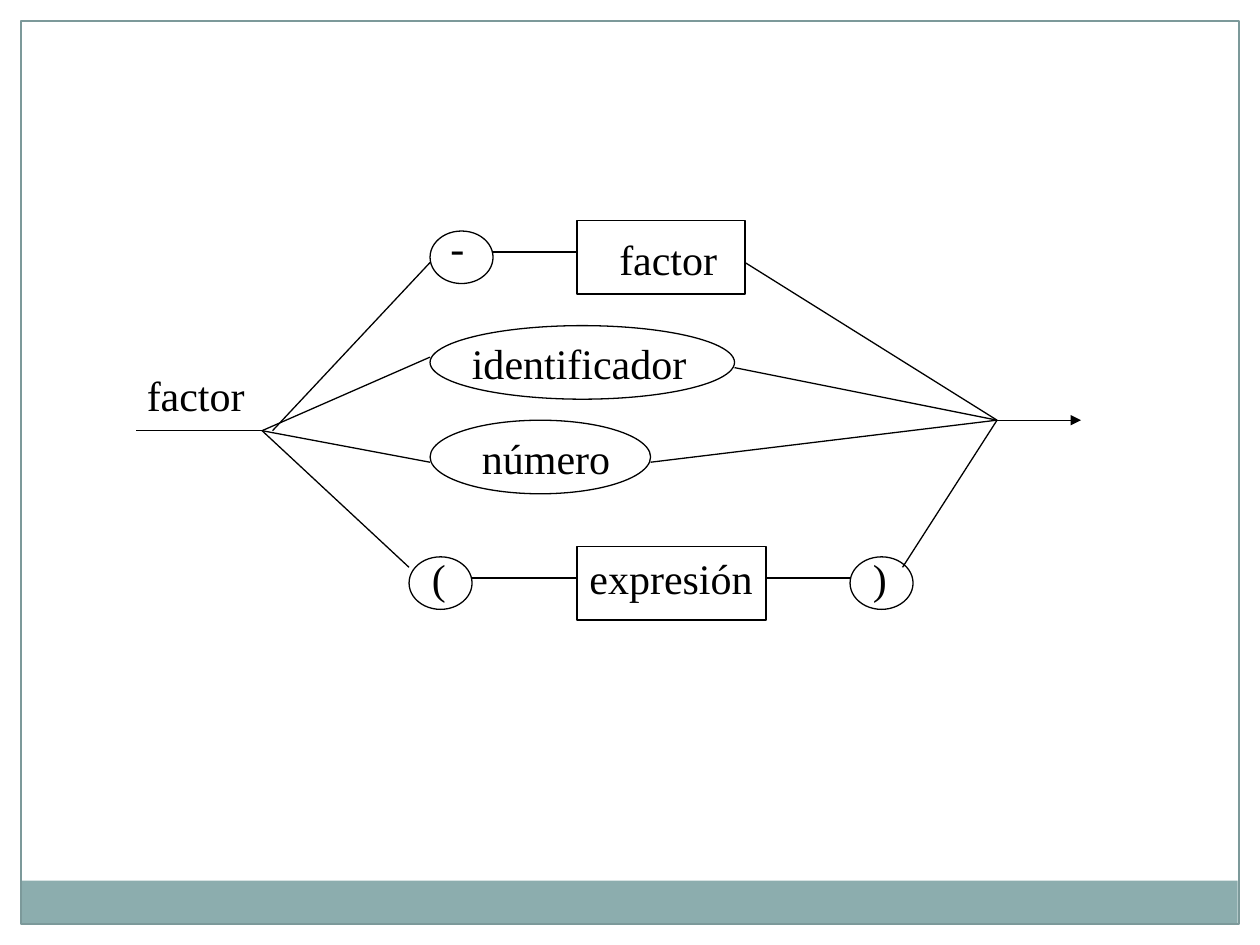
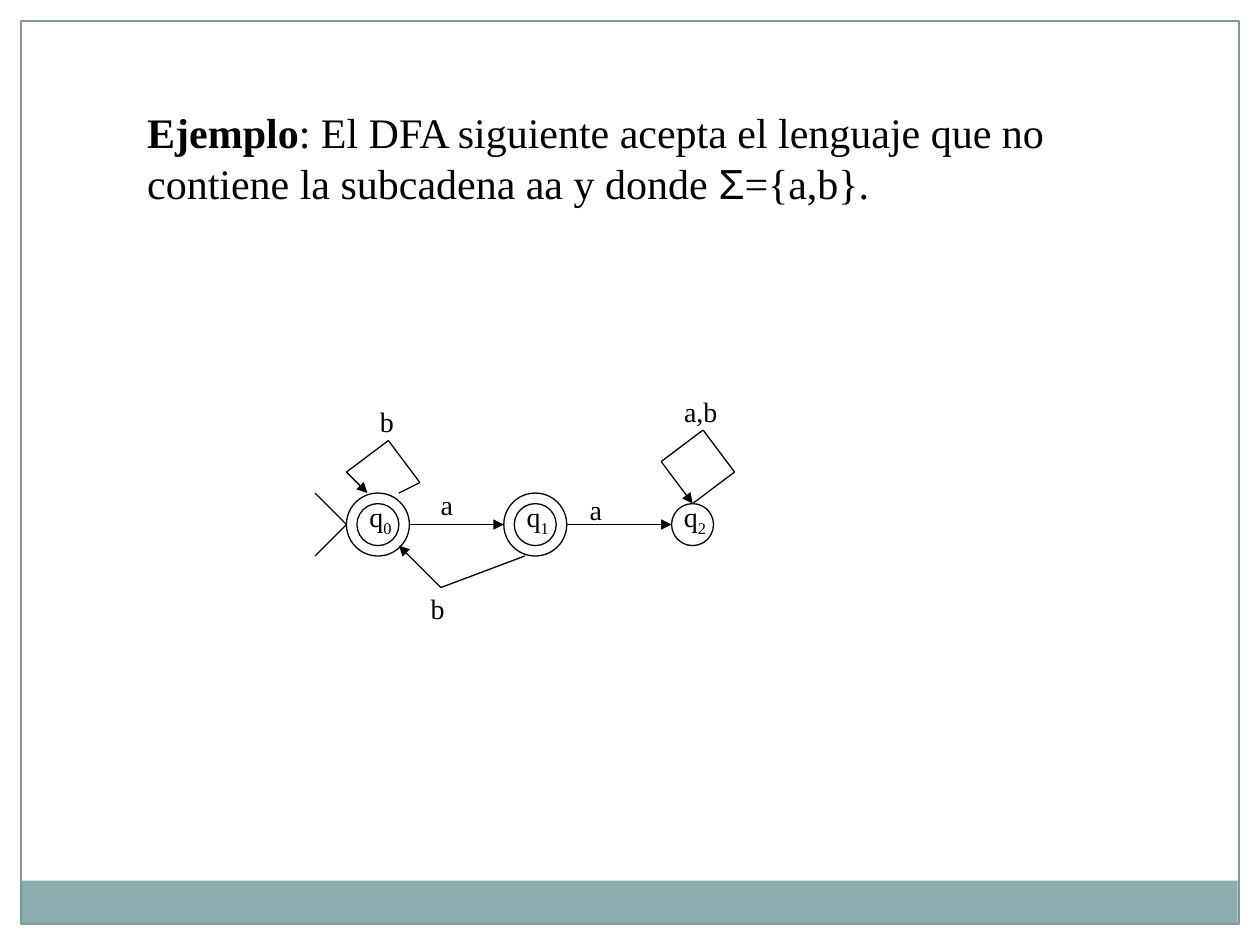
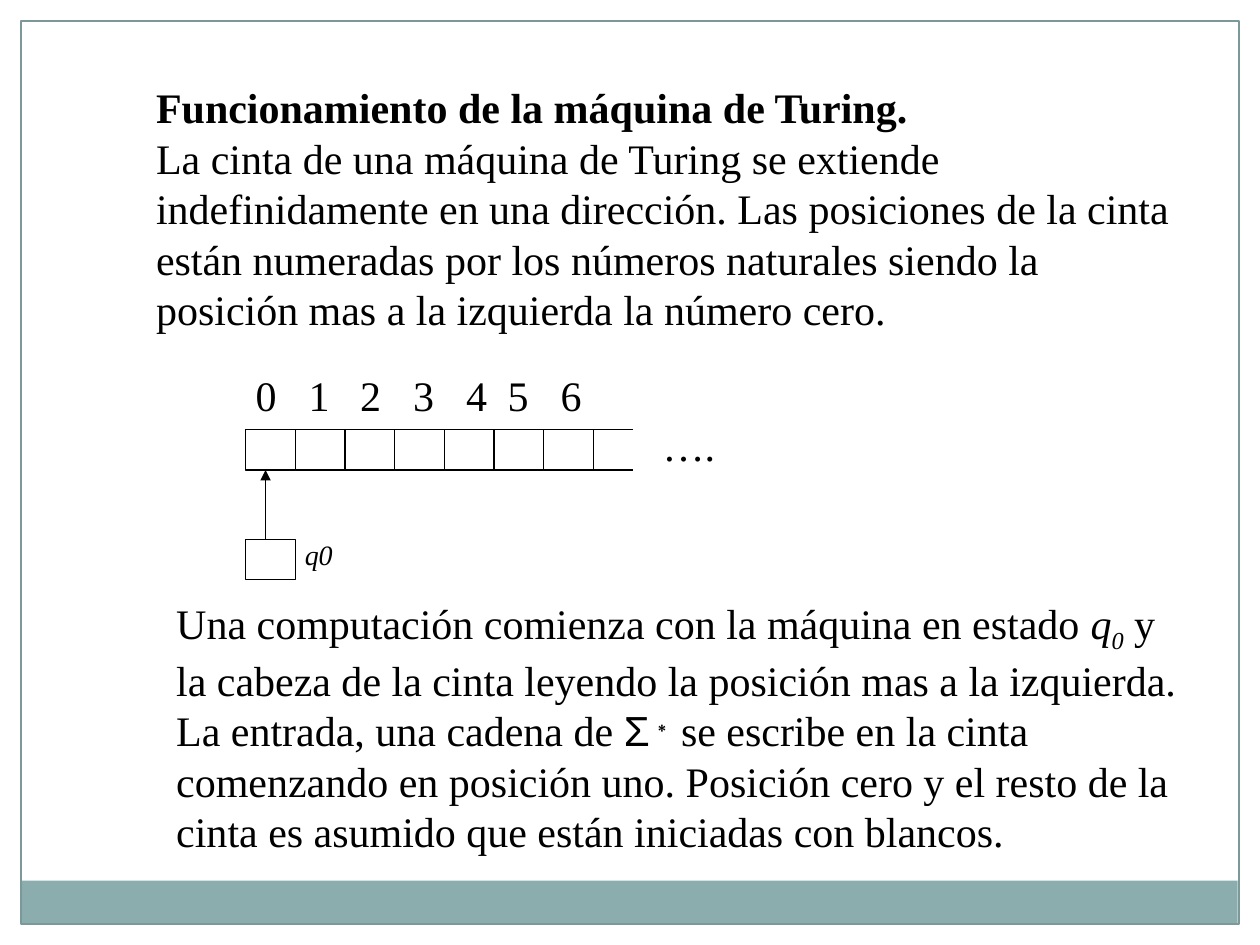
from dataclasses import dataclass

from lxml.etree import SubElement
from pptx import Presentation
from pptx.dml.color import RGBColor
from pptx.enum.shapes import MSO_CONNECTOR, MSO_SHAPE
from pptx.oxml.ns import qn
from pptx.util import Inches, Pt

BLACK = RGBColor(0x00, 0x00, 0x00)
WHITE = RGBColor(0xFF, 0xFF, 0xFF)
TEAL = RGBColor(0x8C, 0xAD, 0xAE)
BORDER = RGBColor(0x7C, 0x99, 0x9A)
SERIF, SANS = "Times New Roman", "Arial"
BODY, SMALL = 24, 16
RECT, OVAL = MSO_SHAPE.RECTANGLE, MSO_SHAPE.OVAL


@dataclass
class Box:
    """A region in inches, divided into columns and rows."""
    left: float
    top: float
    width: float
    height: float
    cols: int
    rows: int

    def point(self, col, row):
        return (Inches(self.left + col * self.width / self.cols),
                Inches(self.top + row * self.height / self.rows))

    def area(self, col, row, cols, rows):
        return (*self.point(col, row),
                Inches(cols * self.width / self.cols),
                Inches(rows * self.height / self.rows))


PAGE = Box(0, 0, 10, 7.5, 120, 90)


# Drawing helpers
def shape(s, box, kind, area, fill=None, line=BLACK):
    sp = s.shapes.add_shape(kind, *box.area(*area))
    sp.shadow.inherit = False
    if fill is None:
        sp.fill.background()
    else:
        sp.fill.solid()
        sp.fill.fore_color.rgb = fill
    if line is None:
        sp.line.fill.background()
    else:
        sp.line.color.rgb = line
        sp.line.width = Pt(0.75)
    return sp


def path(s, box, *points, arrow=False):
    """Join the points with straight lines; the last may carry an arrowhead."""
    for start, end in zip(points, points[1:]):
        c = s.shapes.add_connector(MSO_CONNECTOR.STRAIGHT,
                                   *box.point(*start), *box.point(*end))
        c.line.color.rgb = BLACK
        c.line.width = Pt(0.75)
        SubElement(c._element.spPr, qn("a:effectLst"))
    if arrow:
        SubElement(c.line._get_or_add_ln(), qn("a:tailEnd"), type="triangle")


def text(s, box, area, *paragraphs, size=BODY, wrap=False):
    """Each paragraph is a list of (text, options) runs."""
    tf = s.shapes.add_textbox(*box.area(*area)).text_frame
    tf.word_wrap = wrap
    for i, runs in enumerate(paragraphs):
        p = tf.add_paragraph() if i else tf.paragraphs[0]
        p.font.size = Pt(size)
        p.font.name = SERIF
        p.font.color.rgb = BLACK
        for words, options in runs:
            r = p.add_run()
            r.text = words
            for name, value in options.items():
                if name == "baseline":
                    r._r.get_or_add_rPr().set(name, str(value * 1000))
                else:
                    setattr(r.font, name, value)
    return tf


def label(s, box, words, col, row, cols, size=BODY):
    rows = 6 if size == BODY else 4.44
    return text(s, box, (col, row, cols, rows), [(words, {})], size=size)


def frame(s):
    # White margins, bottom band and border
    for area in ((0, 0, 120, 2), (118, 0, 2, 90), (0, 0, 2, 90)):
        shape(s, PAGE, RECT, area, WHITE, None)
    shape(s, PAGE, RECT, (1.96, 83.88, 115.92, 4.08), TEAL, None)
    shape(s, PAGE, RECT, (2, 2, 116, 86), line=BORDER)


# Regions
def syntax_diagram(s, box):
    fork, join = (12, 20), (82, 19)
    path(s, box, (0, 20), fork)
    path(s, box, (13, 20), (28, 4))
    for entry in ((28, 13), (28, 23), (26, 33)):
        path(s, box, fork, entry)
    # Terminals and non-terminals
    for kind, *area in ((OVAL, 28, 1, 6, 5), (RECT, 42, 0, 16, 7),
                        (OVAL, 28, 10, 29, 7), (OVAL, 28, 19, 21, 7),
                        (OVAL, 26, 32, 6, 5), (RECT, 42, 31, 18, 7),
                        (OVAL, 68, 32, 6, 5)):
        shape(s, box, kind, area)
    # Links between symbols, and the way out
    for leaving in ((58, 4), (57, 14), (49, 23), (73, 33)):
        path(s, box, leaving, join)
    for start, end, row in ((32, 42, 34), (60, 68, 34), (34, 42, 3)):
        path(s, box, (start, row), (end, row))
    path(s, box, join, (90, 19), arrow=True)
    for words, *place in (("factor", -0.16, 13.56, 11.76),
                          ("-", 28.76, -0.48, 3.72),
                          ("factor", 44.84, 0.6, 11.76),
                          ("identificador", 30.8, 10.56, 22.8),
                          ("número", 31.76, 19.56, 14.64),
                          ("(", 27, 31, 3.72),
                          ("expresión", 42, 31, 18),
                          (")", 69, 31, 3.72)):
        label(s, box, words, *place)


def automaton(s, box):
    # States; the accepting ones have a double ring
    for i, accepting in enumerate((True, True, False)):
        col = 4 + 15 * i
        if accepting:
            shape(s, box, OVAL, (col - 1, 10, 6, 6))
        shape(s, box, OVAL, (col, 11, 4, 4))
        text(s, box, (col, 10, 4.68, 4.44),
             [("q", {}), (str(i), {"baseline": -25})], size=SMALL)
    # Start mark and transitions
    path(s, box, (0, 16), (3, 13), (0, 10))
    for points in (((9, 13), (18, 13)),
                   ((24, 13), (34, 13)),
                   ((20, 16), (12, 19), (8, 15)),
                   ((8, 10), (10, 9), (7, 5), (3, 8), (5, 10)),
                   ((36, 11), (40, 8), (37, 4), (33, 7), (36, 11))):
        path(s, box, *points, arrow=True)
    for words, *place in (("a,b", 34, 0, 5.64), ("a", 25, 9.32, 3.6),
                          ("b", 5, 1, 3.72), ("a", 10.8, 8.84, 3.6),
                          ("b", 9.84, 18.8, 3.72)):
        label(s, box, words, *place, size=SMALL)


def tape(s, box):
    # Cells, open end and head
    for i in range(7):
        shape(s, box, RECT, (i, 0, 1, 4))
    for row in (0, 4):
        path(s, box, (7, row), (7.8, row))
    shape(s, box, RECT, (0, 10.9, 1, 4))
    path(s, box, (0.4, 10.9), (0.4, 4), arrow=True)
    # Position numbers, set on tab stops
    tf = text(s, box, (-0.05, -6.6, 7.5, 6.25),
              [("\t".join(map(str, range(7))), {})], wrap=True)
    stops = SubElement(tf.paragraphs[0]._p.get_or_add_pPr(), qn("a:tabLst"))
    stops_before_run_style = stops.getparent().find(qn("a:defRPr"))
    if stops_before_run_style is not None:
        stops_before_run_style.addprevious(stops)
    for stop in (0.42, 0.83, 1.25, 1.67, 2, 2.42):
        SubElement(stops, qn("a:tab"), pos=str(Inches(stop)), algn="l")
    text(s, box, (8.15, -1.6, 1.57, 6.25), [("….", {})])
    text(s, box, (0.94, 10.1, 1.07, 4.6), [("q0", {"italic": True})],
         size=SMALL)


# Slides
def factor_slide(s):
    syntax_diagram(s, Box(1.08, 1.75, 7.5, 3.17, 90, 38))


def dfa_slide(s):
    text(s, PAGE, (12.84, 9.6, 89.28, 15.6),
         [("Ejemplo", {"bold": True}),
          (": El DFA siguiente acepta el lenguaje que no", {})],
         [("contiene la subcadena aa y donde ", {}),
          ("Σ", {"name": SANS}), ("={a,b}.", {})])
    automaton(s, Box(2.5, 3.08, 3.33, 2, 40, 24))


def turing_slide(s):
    text(s, PAGE, (13.68, 7.2, 100.44, 25.44),
         [("Funcionamiento de la máquina de Turing.", {"bold": True})],
         [("La cinta de una máquina de Turing se extiende indefinidamente en "
           "una dirección. Las posiciones de la cinta están numeradas por los "
           "números naturales siendo la posición mas a la izquierda la número "
           "cero.", {})], wrap=True)
    tape(s, Box(1.95, 3.41, 3.94, 1.2, 10, 15))
    text(s, PAGE, (15.6, 56.28, 98.52, 25.2),
         [("Una computación comienza con la máquina en estado ", {}),
          ("q", {"italic": True}),
          ("0", {"italic": True, "baseline": -25}),
          (" y la cabeza de la cinta leyendo la posición mas a la izquierda. "
           "La entrada, una cadena de ", {}),
          ("Σ", {"name": SANS}),
          ("∗ ", {"name": SANS, "baseline": 30}),
          ("se escribe en la cinta comenzando en posición uno. Posición cero "
           "y el resto de la cinta es asumido que están iniciadas con "
           "blancos.", {})], wrap=True)


def main():
    prs = Presentation()
    prs.slide_width, prs.slide_height = Inches(10), Inches(7.5)
    for build in (factor_slide, dfa_slide, turing_slide):
        s = prs.slides.add_slide(prs.slide_layouts[6])
        frame(s)
        build(s)
    prs.save("out.pptx")


if __name__ == "__main__":
    main()
